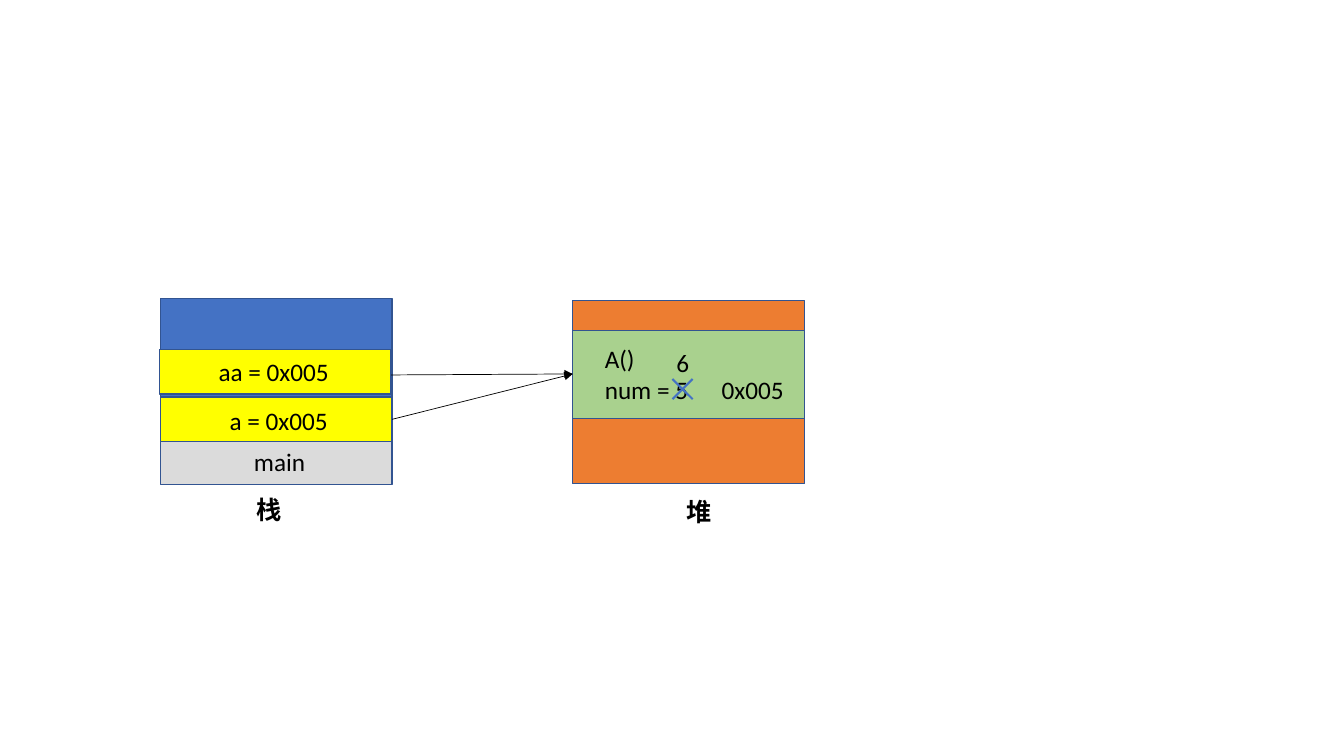
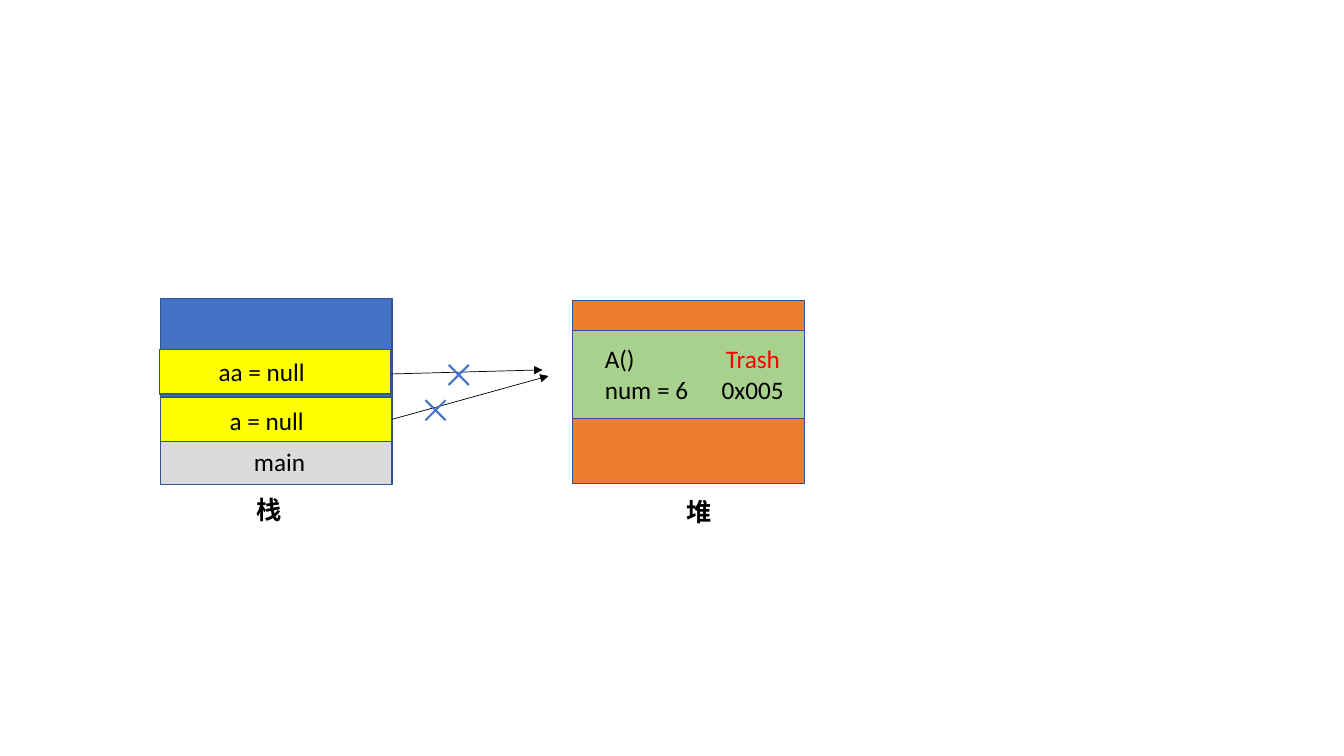
from lxml import etree
from pptx import Presentation
from pptx.dml.color import RGBColor
from pptx.enum.shapes import MSO_CONNECTOR, MSO_SHAPE
from pptx.enum.text import MSO_AUTO_SIZE
from pptx.oxml.ns import qn
from pptx.util import Inches, Pt

RECTANGLE = MSO_SHAPE.RECTANGLE
STRAIGHT = MSO_CONNECTOR.STRAIGHT
GROW = MSO_AUTO_SIZE.SHAPE_TO_FIT_TEXT

BLUE = RGBColor(0x44, 0x72, 0xC4)
OUTLINE = RGBColor(0x32, 0x54, 0x91)
GRAY = RGBColor(0xDB, 0xDB, 0xDB)
YELLOW = RGBColor(0xFF, 0xFF, 0x00)
ORANGE = RGBColor(0xED, 0x7D, 0x31)
GREEN = RGBColor(0xA9, 0xD1, 0x8E)
BLACK = RGBColor(0x00, 0x00, 0x00)
RED = RGBColor(0xFF, 0x00, 0x00)

FONT, TEXT_SIZE = "Calibri", Pt(18)
BLOCK_WIDTH = 2.3
STACK_LEFT, HEAP_LEFT = 1.59, 5.68
CROSS_SIZE = 0.2

# Memory blocks on every slide: left, top, height, fill
BLOCKS = [
    (STACK_LEFT, 2.96, 1.81, BLUE),
    (STACK_LEFT, 4.37, 0.44, GRAY),
    (STACK_LEFT, 3.94, 0.44, YELLOW),
    (STACK_LEFT - 0.01, 3.47, 0.44, YELLOW),
    (HEAP_LEFT, 2.98, 1.82, ORANGE),
    (HEAP_LEFT, 3.28, 0.87, GREEN),
]

# Labels on every slide: text, (left, top, width, height), bold
LABELS = [
    ("栈", (2.45, 4.85, 0.58, 0.4), True),
    ("堆", (6.71, 4.87, 0.58, 0.4), True),
    ("main", (2.42, 4.38, 0.93, 0.4), False),
]

# Places of the texts that change
VARIABLE_A = (2.18, 3.97, 1.43, 0.4)
VARIABLE_AA = (2.07, 3.49, 1.43, 0.4)
HEAP_OBJECT = (5.9, 3.36, 2.22, 0.71)
NEW_VALUE = (6.61, 3.4, 0.3, 0.4)

# Heap lines: left text, right text, right colour, tab position
# Arrows: start, end; crosses: centre
SLIDES = [
    {
        "labels": [("a = 0x005", VARIABLE_A), ("aa = 0x005", VARIABLE_AA),
                   ("6", NEW_VALUE)],
        "heap": [("A()", "", BLACK, 0), ("num = 5", "0x005", BLACK, 1.16)],
        "arrows": [((3.89, 4.16), (5.68, 3.71)), ((3.88, 3.72), (5.68, 3.71))],
        "crosses": [(6.77, 3.86)],
    },
    {
        "labels": [("a = null", VARIABLE_A), ("aa = null", VARIABLE_AA)],
        "heap": [("A()", "Trash", RED, 1.2), ("num = 6", "0x005", BLACK, 1.16)],
        "arrows": [((3.89, 4.16), (5.44, 3.73)), ((3.88, 3.71), (5.38, 3.67))],
        "crosses": [(4.55, 3.72), (4.32, 4.07)],
    },
]


def add_block(slide, left, top, height, fill):
    block = slide.shapes.add_shape(RECTANGLE, Inches(left), Inches(top),
                                   Inches(BLOCK_WIDTH), Inches(height))
    block.shadow.inherit = False
    block.fill.solid()
    block.fill.fore_color.rgb = fill
    block.line.color.rgb = OUTLINE
    block.line.width = Pt(1)


def add_text_frame(slide, box):
    frame = slide.shapes.add_textbox(*map(Inches, box)).text_frame
    frame.word_wrap = True
    frame.auto_size = GROW
    return frame


def style(font, color=BLACK, bold=False):
    font.name, font.size, font.bold = FONT, TEXT_SIZE, bold
    font.color.rgb = color


def add_label(slide, text, box, bold=False):
    paragraph = add_text_frame(slide, box).paragraphs[0]
    paragraph.text = text
    style(paragraph.font, bold=bold)


def add_heap_object(slide, lines):
    frame = add_text_frame(slide, HEAP_OBJECT)
    for index, (left_text, right_text, color, tab) in enumerate(lines):
        paragraph = frame.add_paragraph() if index else frame.paragraphs[0]
        run = paragraph.add_run()
        run.text = left_text
        style(run.font)
        if right_text:
            run = paragraph.add_run()
            run.text = "\t" + right_text
            style(run.font, color)
            # Tab stop that aligns the right-hand text
            properties = paragraph._p.get_or_add_pPr()
            tabs = etree.SubElement(properties, qn("a:tabLst"))
            etree.SubElement(tabs, qn("a:tab"), pos=str(Inches(tab)), algn="l")


def add_line(shapes, start, end, color, width):
    line = shapes.add_connector(STRAIGHT, *map(Inches, (*start, *end)))
    line.line.color.rgb = color
    line.line.width = Pt(width)
    etree.SubElement(line._element.spPr, qn("a:effectLst"))
    return line


def add_arrow(slide, start, end):
    arrow = add_line(slide.shapes, start, end, BLACK, 0.5)
    etree.SubElement(arrow.line._get_or_add_ln(), qn("a:tailEnd"), type="triangle")


def add_cross(slide, x, y):
    group = slide.shapes.add_group_shape()
    half = CROSS_SIZE / 2
    for rise in (half, -half):
        add_line(group.shapes, (x - half, y - rise), (x + half, y + rise), BLUE, 1.5)


presentation = Presentation()
presentation.slide_width = Inches(13.33)
presentation.slide_height = Inches(7.5)
blank_layout = presentation.slide_layouts[6]

for content in SLIDES:
    slide = presentation.slides.add_slide(blank_layout)
    for block in BLOCKS:
        add_block(slide, *block)
    for label in LABELS + content["labels"]:
        add_label(slide, *label)
    add_heap_object(slide, content["heap"])
    for start, end in content["arrows"]:
        add_arrow(slide, start, end)
    for center in content["crosses"]:
        add_cross(slide, *center)

presentation.save("out.pptx")
